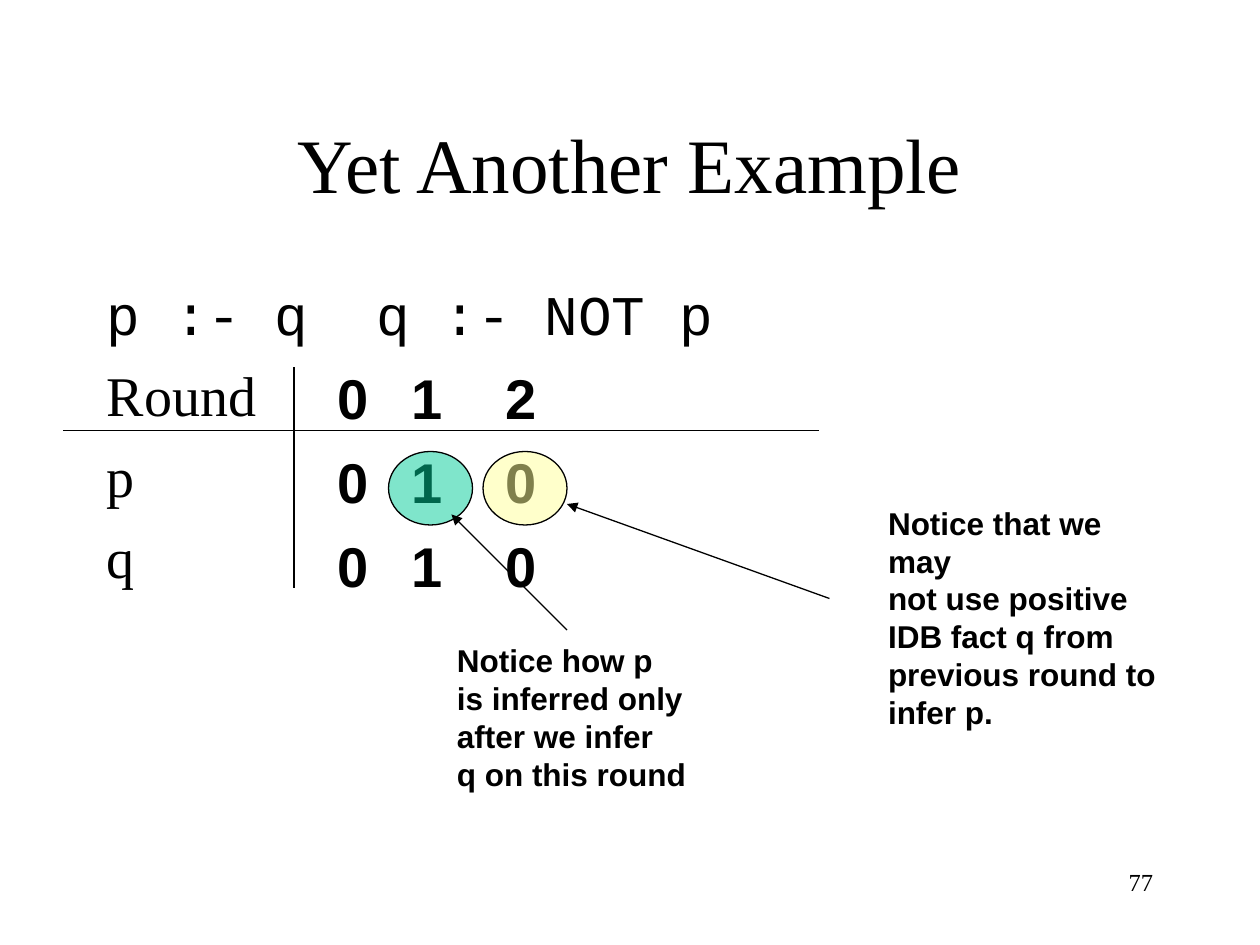
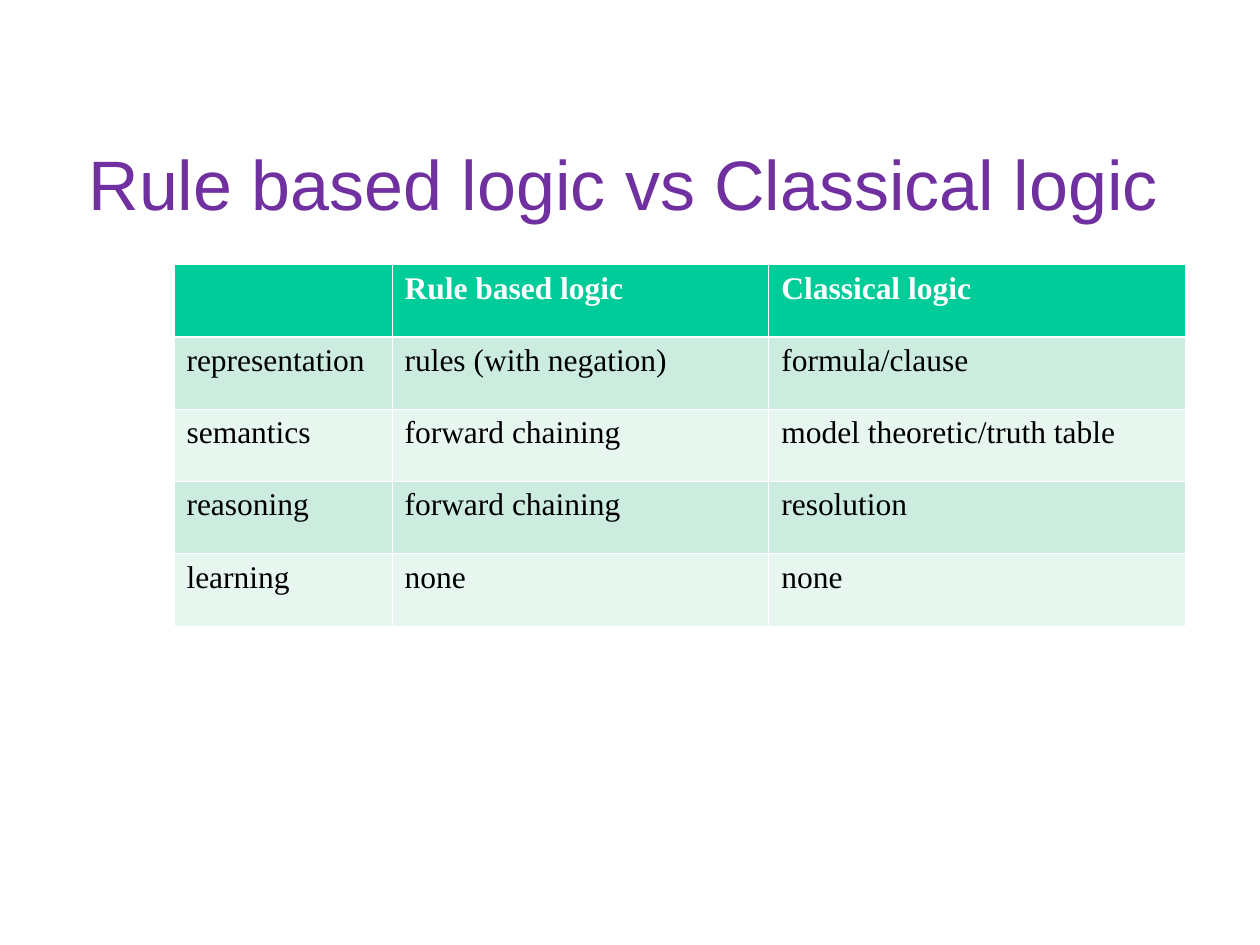
from collections import namedtuple

from lxml import etree
from pptx import Presentation
from pptx.dml.color import RGBColor
from pptx.enum import shapes, text
from pptx.oxml import ns
from pptx.util import Pt

COLOURS = {
    "ink": "000000",
    "paper": "FFFFFF",
    "purple": "7030A0",
    "green": "00CC99",
    "yellow": "FFFF99",
    "band_dark": "CBECDE",
    "band_light": "E7F6EF",
}
SERIF, SANS, MONO = "Times New Roman", "Arial", "Courier New"
Box = namedtuple("Box", "left top width height")

ROUNDS = [("0", "0", "0"), ("1", "1", "1"), ("2", "0", "0")]
ROUND_OFFSETS = [132, 174, 228]
ROUND_STEP = 48
COMPARISON = [
    ("", "Rule based logic", "Classical logic"),
    ("representation", "rules (with negation)", "formula/clause"),
    ("semantics", "forward chaining", "model theoretic/truth table"),
    ("reasoning", "forward chaining", "resolution"),
    ("learning", "none", "none"),
]


def rgb(name):
    return RGBColor.from_string(COLOURS[name])


def sub(parent, tag, **attributes):
    return etree.SubElement(parent, ns.qn(tag), attributes)


def style(paragraph, size, font, colour="ink", bold=False):
    for run in paragraph.runs:
        run.font.size = Pt(size)
        run.font.name = font
        run.font.bold = bold
        run.font.color.rgb = rgb(colour)


def add_text(slide, box, words, size, font, colour="ink", bold=False,
             align=text.PP_ALIGN.LEFT, wrap=True):
    frame = slide.shapes.add_textbox(*map(Pt, box)).text_frame
    frame.word_wrap = wrap
    frame.text = words
    for paragraph in frame.paragraphs:
        paragraph.alignment = align
        style(paragraph, size, font, colour, bold)
    return frame


def add_title(slide, box, words, size, font, colour="ink"):
    frame = add_text(slide, box, words, size, font, colour,
                     align=text.PP_ALIGN.CENTER)
    frame.vertical_anchor = text.MSO_ANCHOR.MIDDLE


def add_line(slide, start, end, arrow=False):
    line = slide.shapes.add_connector(
        shapes.MSO_CONNECTOR.STRAIGHT, *map(Pt, (*start, *end)))
    line.line.color.rgb = rgb("ink")
    line.line.width = Pt(0.75)
    if arrow:
        sub(line.line._get_or_add_ln(), "a:tailEnd", type="triangle")
    sub(line._element.spPr, "a:effectLst")


def add_program(slide, box):
    """Write the rules, then the row labels of the trace below them."""
    frame = add_text(slide, box, "p :- q\t q :- NOT p\nRound\np\nq", 32, SERIF)
    for paragraph in frame.paragraphs:
        paragraph.space_before = Pt(8)
        properties = paragraph._p.get_or_add_pPr()
        properties.set("marL", str(Pt(27)))
        properties.set("indent", str(Pt(-27)))
    rules = frame.paragraphs[0]
    style(rules, 32, MONO)
    tabs = sub(rules._p.get_or_add_pPr(), "a:tabLst")
    sub(tabs, "a:tab", pos=str(Pt(144)), algn="l")


def digit_corner(box, column, row):
    return (box.left + ROUND_OFFSETS[column],
            box.top + ROUND_STEP * (row + 1))


def add_rounds(slide, box):
    for column, values in enumerate(ROUNDS):
        for row, value in enumerate(values):
            cell = Box(*digit_corner(box, column, row), 32.4, 46)
            add_text(slide, cell, value, 32, SANS, bold=True, wrap=False)
    across, down = box.top + 90, box.left + 114
    add_line(slide, (box.left - 18, across), (box.left + 414, across))
    add_line(slide, (down, box.top + 54), (down, box.top + 180))


def add_remark(slide, box, words, corner, colour, leave, reach):
    """Circle the digit at corner; the arrow runs from box + leave to circle + reach."""
    left, top = corner[0] - 6, corner[1] + 6
    circle = slide.shapes.add_shape(
        shapes.MSO_SHAPE.OVAL, *map(Pt, (left, top, 48, 42)))
    circle.shadow.inherit = False
    circle.fill.solid()
    circle.fill.fore_color.rgb = rgb(colour)
    tint = circle._element.spPr.find(".//" + ns.qn("a:srgbClr"))
    sub(tint, "a:alpha", val="50000")
    circle.line.color.rgb = rgb("ink")
    circle.line.width = Pt(0.75)
    add_text(slide, box, words, 18, SANS, bold=True, wrap=False)
    add_line(slide, (box.left + leave[0], box.top + leave[1]),
             (left + reach[0], top + reach[1]), arrow=True)


def set_borders(cell, widths):
    """Draw white borders; widths are left, right, top, bottom."""
    properties = cell._tc.get_or_add_tcPr()
    for place, (side, width) in enumerate(zip("LRTB", widths)):
        border = etree.Element(ns.qn("a:ln" + side), w=str(Pt(width)))
        sub(sub(border, "a:solidFill"), "a:srgbClr", val=COLOURS["paper"])
        properties.insert(place, border)


def add_comparison(slide, box, widths):
    table = slide.shapes.add_table(
        len(COMPARISON), len(widths), *map(Pt, box)).table
    for column, width in zip(table.columns, widths):
        column.width = Pt(width)
    for index, entries in enumerate(COMPARISON):
        table.rows[index].height = Pt(box.height / len(COMPARISON))
        header = index == 0
        band = "green" if header else ("band_light", "band_dark")[index % 2]
        above = 1.47 if index == 1 else 0.45
        below = 1.47 if header else 0.45
        for cell, entry in zip(table.rows[index].cells, entries):
            cell.text = entry
            cell.fill.solid()
            cell.fill.fore_color.rgb = rgb(band)
            style(cell.text_frame.paragraphs[0], 18, SERIF,
                  "paper" if header else "ink", header)
            set_borders(cell, (0.45, 0.45, above, below))


def build_trace_slide(slide):
    body = Box(54, 156, 612, 324)
    add_text(slide, Box(516, 492, 150, 36), "77", 14, SERIF,
             align=text.PP_ALIGN.RIGHT)
    add_title(slide, Box(54, 48, 612, 90), "Yet Another Example", 44, SERIF)
    add_program(slide, body)
    add_rounds(slide, body)
    add_remark(
        slide, Box(254, 363, 145.5, 93.6),
        "Notice how p\nis inferred only\nafter we infer\nq on this round",
        digit_corner(body, 1, 1), "green", leave=(70, -3), reach=(36, 36))
    add_remark(
        slide, Box(500.4, 284.4, 177, 115.2),
        "Notice that we may\nnot use positive\nIDB fact q from\n"
        "previous round to\ninfer p.",
        digit_corner(body, 2, 1), "yellow", leave=(-26.4, 57.6), reach=(48, 30))


def build_comparison_slide(slide):
    add_title(slide, Box(0.7, 71.3, 710.6, 66.2),
              "Rule based logic vs Classical logic", 40, SANS, "purple")
    add_comparison(slide, Box(99.4, 151.2, 578.2, 206.6), (124.6, 215.3, 238.3))


def main():
    deck = Presentation()
    deck.slide_width, deck.slide_height = Pt(720), Pt(540)
    for build in (build_trace_slide, build_comparison_slide):
        build(deck.slides.add_slide(deck.slide_layouts[6]))
    deck.save("out.pptx")


if __name__ == "__main__":
    main()
